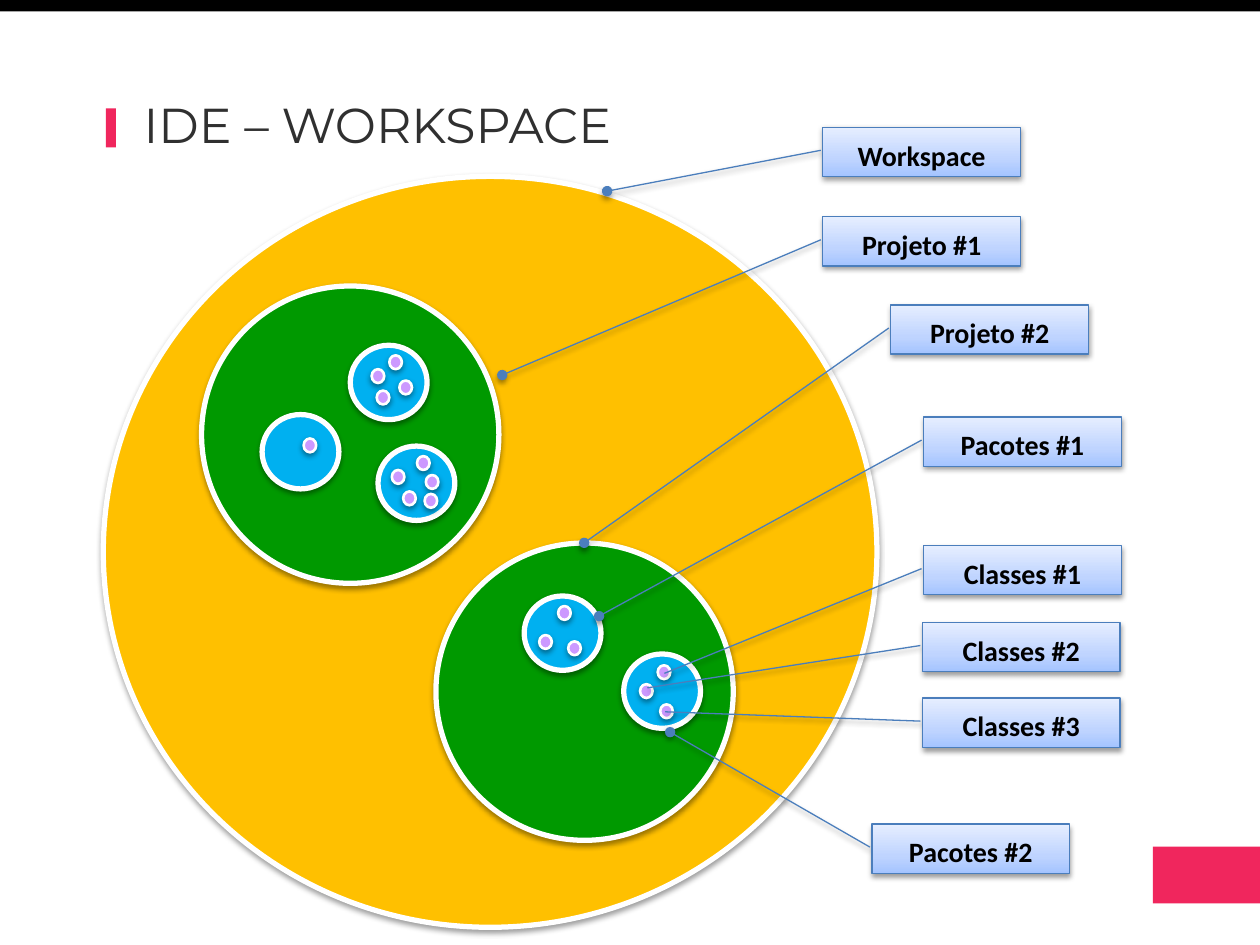
from copy import deepcopy

from lxml.etree import SubElement
from pptx import Presentation
from pptx.dml.color import RGBColor
from pptx.enum.shapes import MSO_SHAPE
from pptx.enum.text import MSO_ANCHOR, MSO_AUTO_SIZE, PP_ALIGN
from pptx.oxml.ns import qn
from pptx.util import Inches, Pt

COLUMNS, ROWS = 100, 75
WIDTH, HEIGHT = Inches(10), Inches(7.5)

PINK, BLACK, WHITE, BLUE = "F0265D", "000000", "FFFFFF", "4B7EBC"
GRADIENT = [(0, "A4C4FF"), (0.35, "BFD4FF"), (1, "E6EEFF")]

# Each level: width, height, fill, outline in points.
LEVELS = [
    (61.4, 59.6, "FFC000", 3),
    (23.6, 23.6, "009900", 3),
    (6.1, 5.9, "00B0F0", 3),
    (1, 1.1, "CC99FF", 1.5),
]

PROJECTS = [
    (7.8, 8.7, [
        (11.8, 4.7, [(3.1, 0.8, []), (3.9, 2.8, []), (1.7, 1.9, []), (2.1, 3.6, [])]),
        (4.8, 10.2, [(3.3, 1.9, [])]),
        (14, 12.7, [(3.1, 0.8, []), (3.8, 2.3, []), (1.1, 1.9, []), (2, 3.6, []),
                    (3.7, 3.8, [])]),
    ]),
    (26.4, 29.1, [
        (7, 4.2, [(2.7, 0.8, []), (1.2, 3.1, []), (3.5, 3.6, [])]),
        (14.9, 8.8, [(2.7, 0.9, []), (2.9, 4, []), (1.3, 2.4, [])]),
    ]),
]

LABELS = [
    ("Workspace", 65.3, 10.1, -1.09, 1.3, True),
    ("Projeto #1", 65.3, 17.2, -1.62, 3.22, True),
    ("Pacotes #2", 69.2, 65.4, -1.02, -1.87, True),
    ("Classes #2", 73.2, 49.4, -1.39, 1.33, False),
    ("Classes #3", 73.2, 55.4, -1.3, 0.28, False),
    ("Pacotes #1", 73.3, 33.1, -1.64, 4.05, True),
    ("Projeto #2", 70.7, 24.2, -1.55, 4.84, True),
    ("Classes #1", 73.3, 43.3, -1.31, 2.6, False),
]


def color(value):
    """Turn a hex string into a colour."""
    return RGBColor.from_string(value)


def place(box):
    """Turn a box in columns and rows into slide lengths."""
    left, top, width, height = box
    return (int(WIDTH * left / COLUMNS), int(HEIGHT * top / ROWS),
            int(WIDTH * width / COLUMNS), int(HEIGHT * height / ROWS))


def assign(target, **values):
    """Set several attributes of an object."""
    for name, value in values.items():
        setattr(target, name, value)


def add_shape(page, kind, box, fill=None, line=None, weight=1):
    """Add a flat preset shape."""
    shape = page.shapes.add_shape(kind, *place(box))
    shape.shadow.inherit = False
    if fill:
        shape.fill.solid()
        shape.fill.fore_color.rgb = color(fill)
    if line:
        shape.line.color.rgb = color(line)
        shape.line.width = Pt(weight)
    else:
        shape.line.fill.background()
    return shape


def add_shadow(shape):
    """Give a shape a soft shadow straight below it."""
    effects = shape._element.spPr.find(qn("a:effectLst"))
    shadow = SubElement(effects, qn("a:outerShdw"), blurRad=str(Pt(3.1)),
                        dist=str(Pt(1.6)), dir="5400000", rotWithShape="0")
    tone = SubElement(shadow, qn("a:srgbClr"), val=BLACK)
    SubElement(tone, qn("a:alpha"), val="38000")


def add_gradient(shape):
    """Fill a shape with the blue three-stop gradient."""
    shape.fill.gradient()
    shape.fill.gradient_angle = 90
    stops = shape._element.spPr.find(qn("a:gradFill")).find(qn("a:gsLst"))
    stops.append(deepcopy(stops[0]))
    for stop, (position, value) in zip(shape.fill.gradient_stops, GRADIENT):
        stop.position = position
        stop.color.rgb = color(value)


def add_title(page, box, text):
    """Place and format the title."""
    title = page.shapes.title
    assign(title, **dict(zip(("left", "top", "width", "height"), place(box))))
    frame = title.text_frame
    frame.text = text
    assign(frame, word_wrap=True, vertical_anchor=MSO_ANCHOR.MIDDLE,
           auto_size=MSO_AUTO_SIZE.SHAPE_TO_FIT_TEXT)
    para = frame.paragraphs[0]
    assign(para, alignment=PP_ALIGN.LEFT, line_spacing=0.9)
    assign(para.runs[0].font, name="Montserrat", size=Pt(28))
    para.runs[0].font.color.rgb = color("303030")


def add_trim(page):
    """Add the top band, the title marker and the corner block."""
    for box, fill in [((8.4, 8.6, 0.8, 3.1), PINK),
                      ((0, 0, COLUMNS, 0.9), BLACK),
                      ((91.5, 67.2, 8.5, 4.5), PINK)]:
        add_shape(page, MSO_SHAPE.RECTANGLE, box, fill)


def add_circles(page, left, top, children, level=0):
    """Draw a circle and, inside it, the circles it contains."""
    width, height, fill, weight = LEVELS[level]
    circle = add_shape(page, MSO_SHAPE.OVAL, (left, top, width, height),
                       fill, WHITE, weight)
    add_shadow(circle)
    for across, down, inner in children:
        add_circles(page, left + across, top + down, inner, level + 1)


def add_label(page, box, text, reach, dotted):
    """Add a callout whose leader reaches a point given in shares of its box."""
    label = add_shape(page, MSO_SHAPE.LINE_CALLOUT_1, box, line=BLUE, weight=0.75)
    add_gradient(label)
    add_shadow(label)
    across, down = reach
    for index, value in enumerate((0.47, -0.01, down, across)):
        label.adjustments[index] = value
    if dotted:
        SubElement(label._element.spPr.find(qn("a:ln")), qn("a:tailEnd"), type="oval")
    frame = label.text_frame
    frame.text = text
    assign(frame, word_wrap=False, vertical_anchor=MSO_ANCHOR.MIDDLE,
           margin_left=Inches(0.1), margin_right=Inches(0.1),
           margin_top=Inches(0.05), margin_bottom=0)
    para = frame.paragraphs[0]
    para.alignment = PP_ALIGN.CENTER
    assign(para.runs[0].font, name="Calibri", size=Pt(16), bold=True)
    para.runs[0].font.color.rgb = color(BLACK)


def main():
    """Build the slide and save it."""
    deck = Presentation()
    assign(deck, slide_width=WIDTH, slide_height=HEIGHT)
    page = deck.slides.add_slide(deck.slide_layouts[5])
    add_title(page, (10.4, 7.5, 80.5, 5.3), "IDE – WORKSPACE")
    add_trim(page)
    add_circles(page, 8.2, 14, PROJECTS)
    for text, left, top, across, down, dotted in LABELS:
        add_label(page, (left, top, 15.7, 3.9), text, (across, down), dotted)
    deck.save("out.pptx")


if __name__ == "__main__":
    main()
